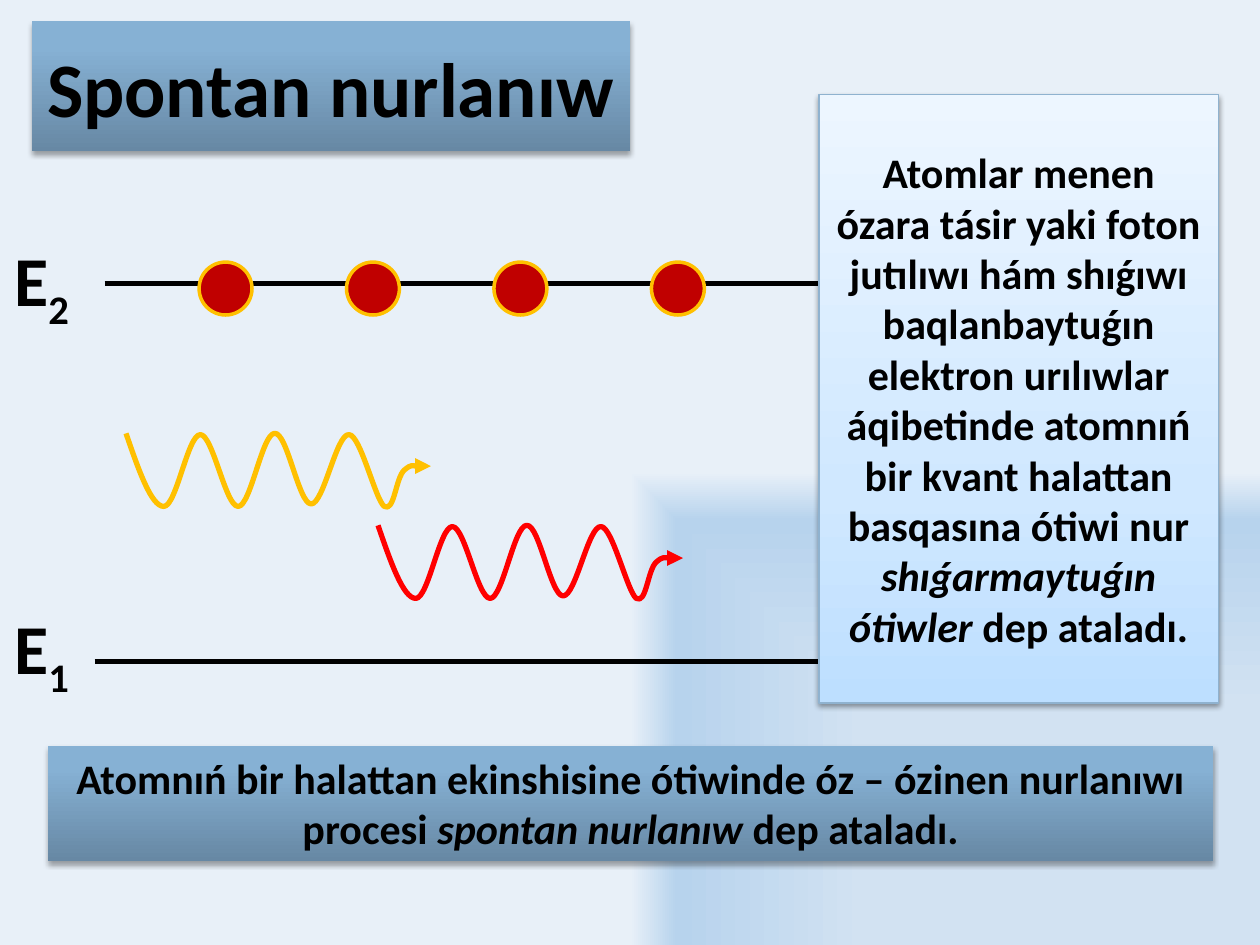
from lxml import etree
from pptx import Presentation
from pptx.dml.color import RGBColor
from pptx.enum.shapes import MSO_CONNECTOR, MSO_SHAPE
from pptx.enum.text import MSO_ANCHOR, MSO_AUTO_SIZE, PP_ALIGN
from pptx.oxml.ns import qn
from pptx.util import Inches, Pt

RECTANGLE, OVAL = MSO_SHAPE.RECTANGLE, MSO_SHAPE.OVAL
STRAIGHT = MSO_CONNECTOR.STRAIGHT
TOP, MIDDLE = MSO_ANCHOR.TOP, MSO_ANCHOR.MIDDLE
FIT_SHAPE, NO_FIT = MSO_AUTO_SIZE.SHAPE_TO_FIT_TEXT, MSO_AUTO_SIZE.NONE
CENTER = PP_ALIGN.CENTER

BLACK = RGBColor(0x00, 0x00, 0x00)
RED = RGBColor(0xFF, 0x00, 0x00)
DARK_RED = RGBColor(0xC0, 0x00, 0x00)
AMBER = RGBColor(0xFF, 0xC0, 0x00)
PANEL_EDGE = RGBColor(0x8F, 0xB2, 0xCF)

BACKDROP_STOPS = [(50, "D2E2F2"), (90, "B7D3ED"), (100, "E8F0F8")]
BAR_STOPS = [(0, "6788A4"), (80, "86B1D4"), (100, "86B2D7")]
PANEL_STOPS = [(0, "BDDFFF"), (35, "D0E8FF"), (100, "EDF6FF")]

# Offsets from the start of a photon wave; each row is one Bezier curve.
WAVE_CURVES = [
    [(0.10, 0.29), (0.20, 0.58), (0.30, 0.58)],
    [(0.40, 0.58), (0.49, 0.01), (0.59, 0.01)],
    [(0.69, 0.01), (0.79, 0.58), (0.89, 0.58)],
    [(0.99, 0.58), (1.08, 0.00), (1.18, 0.00)],
    [(1.28, -0.01), (1.37, 0.56), (1.47, 0.56)],
    [(1.57, 0.56), (1.67, 0.00), (1.77, 0.01)],
    [(1.86, 0.01), (1.98, 0.53), (2.05, 0.58)],
    [(2.13, 0.63), (2.14, 0.35), (2.21, 0.29)],
    [(2.27, 0.24), (2.42, 0.26), (2.42, 0.26)],
]


def apply_format(target, values):
    """Set every attribute named in a dict of format values."""
    for name, value in values.items():
        setattr(target, name, value)


def add_node(parent, tag, **attributes):
    """Append a DrawingML element and return it."""
    values = {name: str(value) for name, value in attributes.items()}
    return etree.SubElement(parent, qn("a:" + tag), values)


def fill_gradient(fill, root, stops, to_corner=False):
    """Give a fill its colour stops, upward or towards the lower right corner."""
    fill.gradient()
    gradient = root.find(".//" + qn("a:gradFill"))
    for child in list(gradient):
        gradient.remove(child)
    stop_list = add_node(gradient, "gsLst")
    for position, color in stops:
        stop = add_node(stop_list, "gs", pos=position * 1000)
        add_node(stop, "srgbClr", val=color)
    if to_corner:
        focus = add_node(gradient, "path", path="rect")
        add_node(focus, "fillToRect", l=100000, t=100000)
    else:
        add_node(gradient, "lin", ang=270 * 60000, scaled=0)


def add_shadow(shape, opacity, distance):
    """Drop a soft black shadow straight below a shape."""
    shape.shadow.inherit = False
    effects = shape._element.spPr.find(qn("a:effectLst"))
    shadow = add_node(effects, "outerShdw", blurRad=Pt(3.1), dist=Pt(distance),
                      dir=90 * 60000, rotWithShape=0)
    color = add_node(shadow, "srgbClr", val="000000")
    add_node(color, "alpha", val=opacity * 1000)


def write_text(shape, runs, size, **frame_values):
    """Write one centred bold paragraph of (text, font values) runs."""
    frame = shape.text_frame
    apply_format(frame, frame_values)
    paragraph = frame.paragraphs[0]
    paragraph.alignment = CENTER
    for text, font_values in runs:
        run = paragraph.add_run()
        run.text = text
        run.font.color.rgb = BLACK
        apply_format(run.font, {"name": "Calibri", "size": Pt(size),
                                "bold": True, **font_values})
    return paragraph


def style_line(line, color, width):
    """Colour a line and set its width in points."""
    line.color.rgb = color
    line.width = Pt(width)


def style_block(block, stops, opacity, distance, edge=None):
    """Give a text block its gradient, edge and shadow."""
    fill_gradient(block.fill, block._element.spPr, stops)
    if edge is None:
        block.line.fill.background()
    else:
        style_line(block.line, edge, 0.75)
    add_shadow(block, opacity, distance)


def add_block(slide, left, top, width, height):
    """Add a rectangle that will hold text."""
    return slide.shapes.add_shape(RECTANGLE, Inches(left), Inches(top),
                                  Inches(width), Inches(height))


def add_level(slide, start, y, number):
    """Draw an energy level and its label with a subscript."""
    level = slide.shapes.add_connector(STRAIGHT, Inches(start), Inches(y),
                                       Inches(6.5), Inches(y))
    style_line(level.line, BLACK, 3)
    add_node(level._element.spPr, "effectLst")
    label_top = {"1": 4.75, "2": 1.83}[number]
    label = slide.shapes.add_textbox(0, Inches(label_top), Inches(0.66), Inches(0.77))
    paragraph = write_text(label, [("Е", {}), (number, {})], 40,
                           word_wrap=False, auto_size=FIT_SHAPE)
    paragraph.runs[1].font._element.set("baseline", "-25000")


def add_electron(slide, left):
    """Place an electron on the upper level."""
    electron = slide.shapes.add_shape(OVAL, Inches(left), Inches(2.08),
                                      Inches(0.42), Inches(0.42))
    electron.shadow.inherit = False
    electron.fill.solid()
    electron.fill.fore_color.rgb = DARK_RED
    style_line(electron.line, AMBER, 2)


def add_photon(slide, left, top, color):
    """Draw a photon as a curved wave that ends in an arrowhead."""
    points = [(Inches(left + x), Inches(top + y))
              for curve in WAVE_CURVES for x, y in curve]
    builder = slide.shapes.build_freeform(Inches(left), Inches(top))
    builder.add_line_segments(points, close=False)
    photon = builder.convert_to_shape()
    outline = photon._element.spPr.find(".//" + qn("a:path"))
    segments = outline.findall(qn("a:lnTo"))
    for first in range(0, len(segments), 3):
        curve = add_node(outline, "cubicBezTo")
        for segment in segments[first:first + 3]:
            curve.append(segment[0])
            outline.remove(segment)
    photon.fill.background()
    photon.shadow.inherit = False
    style_line(photon.line, color, 3)
    add_node(photon._element.spPr.find(qn("a:ln")), "tailEnd", type="triangle")


def main():
    """Build the slide on spontaneous emission."""
    deck = Presentation()
    apply_format(deck, {"slide_width": Inches(10), "slide_height": Inches(7.5)})
    slide = deck.slides.add_slide(deck.slide_layouts[5])
    fill_gradient(slide.background.fill, slide.element, BACKDROP_STOPS, to_corner=True)

    title = slide.shapes.title
    apply_format(title, {"left": Inches(0.25), "top": Inches(0.17),
                         "width": Inches(4.75), "height": Inches(1.03)})
    style_block(title, BAR_STOPS, 35, 1.8)
    write_text(title, [("Spontan nurlanıw", {})], 44, word_wrap=True,
               auto_size=NO_FIT, vertical_anchor=MIDDLE)

    add_level(slide, 0.83, 2.25, "2")
    add_level(slide, 0.75, 5.25, "1")
    for left in (1.58, 2.75, 3.92, 5.17):
        add_electron(slide, left)
    add_photon(slide, 1, 3.44, AMBER)
    add_photon(slide, 3, 4.17, RED)

    definition = add_block(slide, 0.38, 5.92, 9.25, 0.91)
    style_block(definition, BAR_STOPS, 35, 1.8)
    write_text(definition, [
        ("Atomnıń bir halattan ekinshisine ótiwinde óz – ózinen nurlanıwı procesi ", {}),
        ("spontan nurlanıw ", {"italic": True}),
        ("dep ataladı.", {}),
    ], 24, word_wrap=True, auto_size=FIT_SHAPE, vertical_anchor=TOP)

    explanation = add_block(slide, 6.5, 0.75, 3.17, 4.83)
    style_block(explanation, PANEL_STOPS, 38, 1.6, PANEL_EDGE)
    write_text(explanation, [
        ("Atomlar menen ózara tásir yaki foton jutılıwı hám shıǵıwı baqlanbaytuǵın "
         "elektron urılıwlar áqibetinde atomnıń bir kvant halattan basqasına ótiwi nur ", {}),
        ("shıǵarmaytuǵın ótiwler ", {"italic": True}),
        ("dep ataladı.", {}),
    ], 24, word_wrap=True, vertical_anchor=MIDDLE)

    deck.save("out.pptx")


main()
